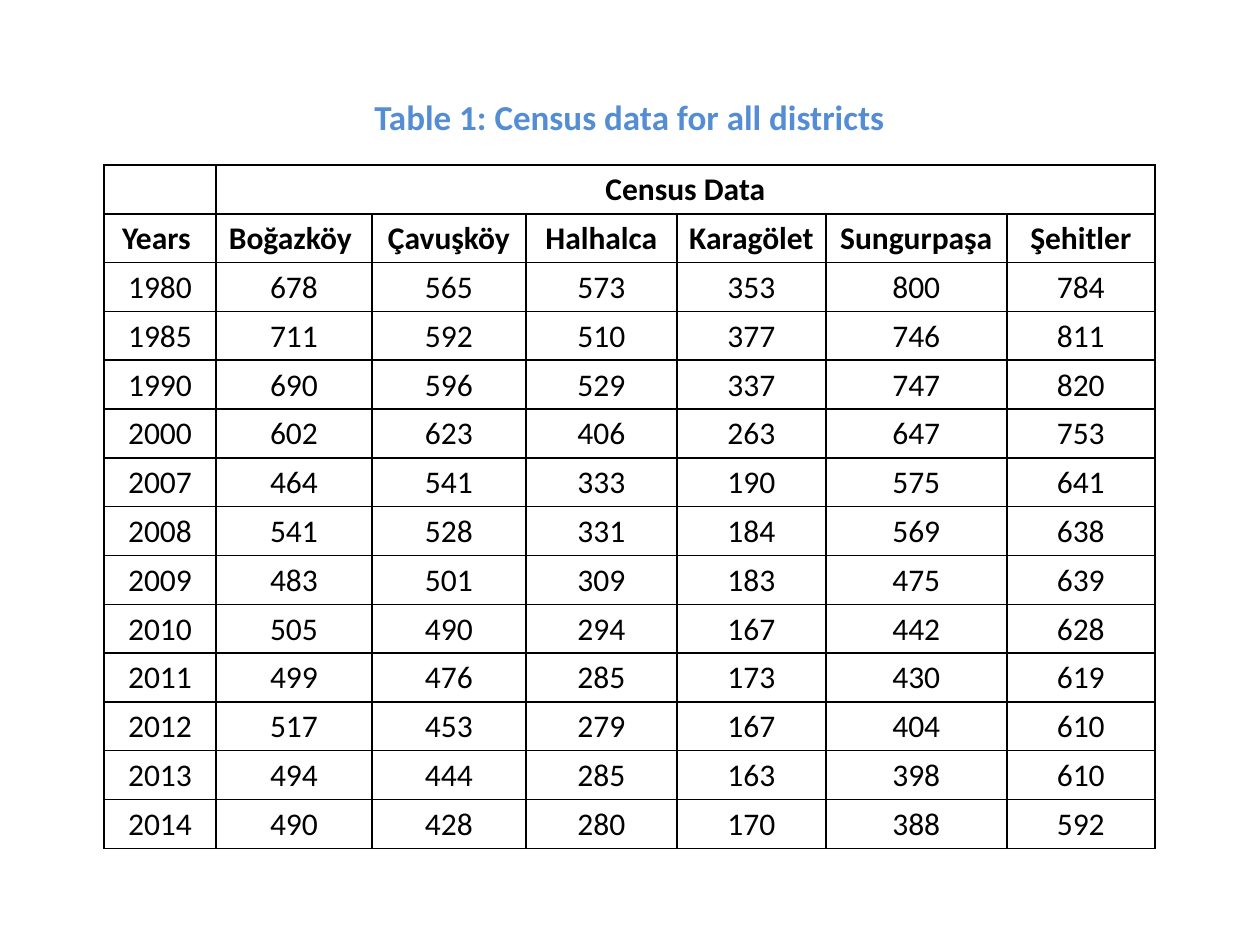
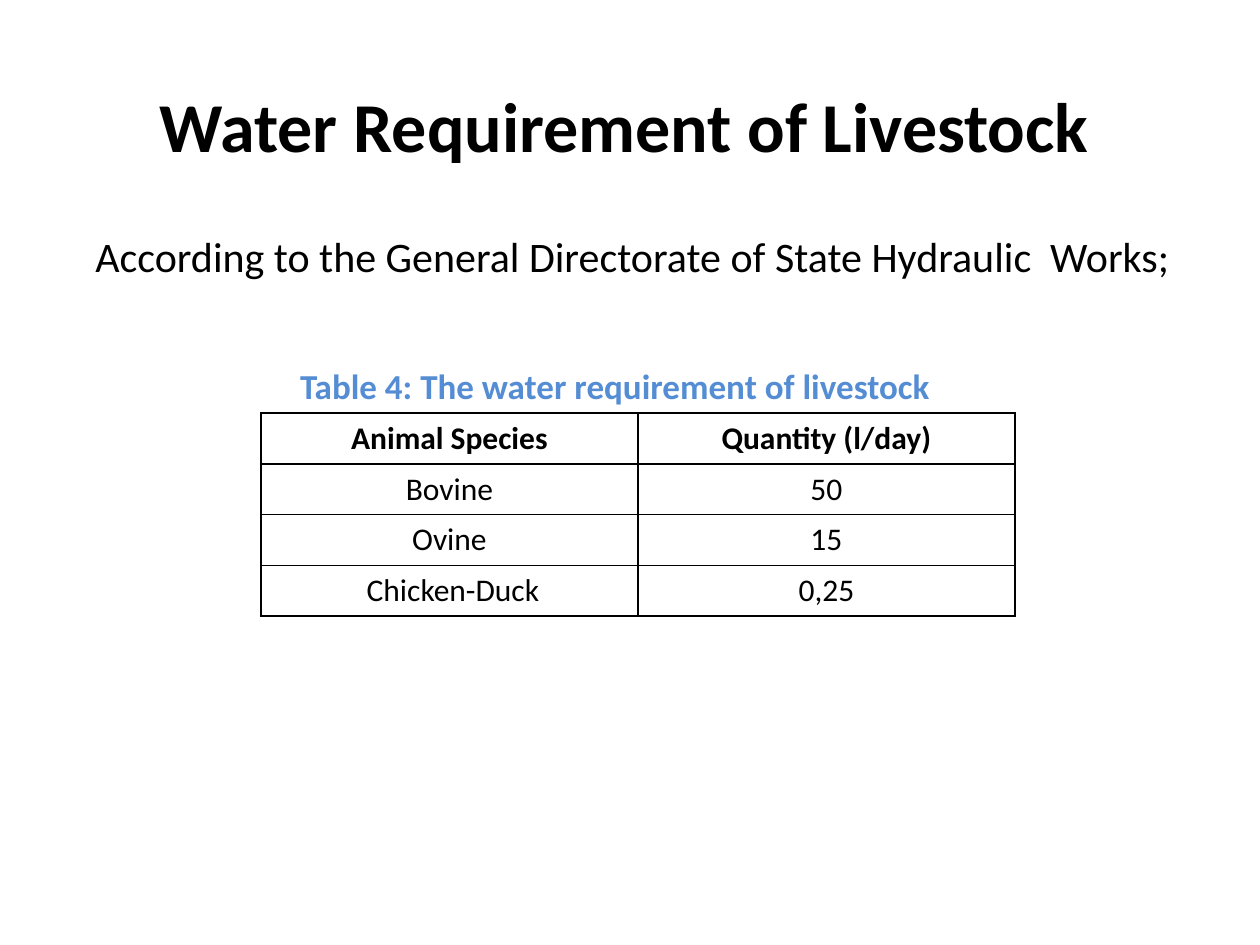
from lxml import etree
from pptx import Presentation
from pptx.dml.color import RGBColor
from pptx.enum.text import MSO_ANCHOR, MSO_AUTO_SIZE, PP_ALIGN
from pptx.oxml.ns import qn
from pptx.util import Pt

PX = 914400 / 126  # EMU per px
BLACK = RGBColor(0x00, 0x00, 0x00)
WHITE = RGBColor(0xFF, 0xFF, 0xFF)
CAPTION_BLUE = RGBColor(0x54, 0x8D, 0xD4)
FONT = "Calibri"
LEFT, CENTER = PP_ALIGN.LEFT, PP_ALIGN.CENTER
TOP, MIDDLE = MSO_ANCHOR.TOP, MSO_ANCHOR.MIDDLE
GROW = MSO_AUTO_SIZE.SHAPE_TO_FIT_TEXT
TITLE_ONLY = 5
CELL_TEXT_SIZE = 18
BORDER_WIDTH = Pt(1)


def write_text(shape, box, text, size, color=BLACK, bold=True, align=CENTER, anchor=TOP, wrap=True):
    shape.left, shape.top, shape.width, shape.height = [round(length * PX) for length in box]
    frame = shape.text_frame
    frame.text = text
    frame.word_wrap = wrap
    frame.auto_size = GROW
    frame.vertical_anchor = anchor
    paragraph = frame.paragraphs[0]
    paragraph.alignment = align
    font = paragraph.font
    font.name, font.size, font.bold = FONT, Pt(size), bold
    font.color.rgb = color


def add_grid_table(slide, left, top, height, column_widths, rows, header_rows):
    box = [round(length * PX) for length in (left, top, sum(column_widths), height)]
    table = slide.shapes.add_table(len(rows), len(column_widths), *box).table
    table.first_row = table.horz_banding = False
    for column, width in zip(table.columns, column_widths):
        column.width = round(width * PX)
    for row_index, values in enumerate(rows):
        table.rows[row_index].height = round(height / len(rows) * PX)
        for column_index, value in enumerate(values):
            cell = table.cell(row_index, column_index)
            cell.text = value
            paragraph = cell.text_frame.paragraphs[0]
            paragraph.alignment = CENTER
            font = paragraph.font
            font.name, font.size = FONT, Pt(CELL_TEXT_SIZE)
            font.bold = row_index < header_rows
            font.color.rgb = BLACK
            # Black border on all four sides, then the fill
            properties = cell._tc.get_or_add_tcPr()
            for side in ("a:lnL", "a:lnR", "a:lnT", "a:lnB"):
                line = etree.SubElement(properties, qn(side), w=str(BORDER_WIDTH))
                fill = etree.SubElement(line, qn("a:solidFill"))
                etree.SubElement(fill, qn("a:srgbClr"), val=str(BLACK))
            cell.fill.solid()
            cell.fill.fore_color.rgb = WHITE
    return table


presentation = Presentation()
presentation.slide_width = round(1260 * PX)
presentation.slide_height = round(945 * PX)
layout = presentation.slide_layouts[TITLE_ONLY]

# Slide 1: census data
slide = presentation.slides.add_slide(layout)
write_text(slide.shapes.title, (360, 89, 539, 55), "Table 1: Census data for all districts",
           20, CAPTION_BLUE, anchor=MIDDLE, wrap=False)

census_rows = [
    ("", "Census Data", "", "", "", "", ""),
    ("Years ", "Boğazköy ", "Çavuşköy", "Halhalca", "Karagölet", "Sungurpaşa", "Şehitler"),
    ("1980", "678", "565", "573", "353", "800", "784"),
    ("1985", "711", "592", "510", "377", "746", "811"),
    ("1990", "690", "596", "529", "337", "747", "820"),
    ("2000", "602", "623", "406", "263", "647", "753"),
    ("2007", "464", "541", "333", "190", "575", "641"),
    ("2008", "541", "528", "331", "184", "569", "638"),
    ("2009", "483", "501", "309", "183", "475", "639"),
    ("2010", "505", "490", "294", "167", "442", "628"),
    ("2011", "499", "476", "285", "173", "430", "619"),
    ("2012", "517", "453", "279", "167", "404", "610"),
    ("2013", "494", "444", "285", "163", "398", "610"),
    ("2014", "490", "428", "280", "170", "388", "592"),
]
census_table = add_grid_table(slide, 104, 165, 684, (112, 156, 154, 151, 149, 181, 148),
                              census_rows, header_rows=2)
census_table.cell(0, 1).merge(census_table.cell(0, 6))
for cell in census_table.iter_cells():
    cell.margin_left = cell.margin_right = round(9 * PX)
    cell.margin_top = cell.margin_bottom = 0
    cell.text_frame.paragraphs[0].line_spacing = 1.15

# Slide 2: water requirement of livestock
slide = presentation.slides.add_slide(layout)
write_text(slide.shapes.title, (118, 76, 1012, 97), "Water Requirement of Livestock", 40)
write_text(slide.shapes.add_textbox(0, 0, 0, 0), (83, 224, 1121, 115),
           "According to the General Directorate of State Hydraulic  Works;",
           24, bold=False, align=LEFT)
write_text(slide.shapes.add_textbox(0, 0, 0, 0), (253, 358, 724, 55),
           "Table 4: The water requirement of livestock", 20, CAPTION_BLUE)

livestock_rows = [
    ("Animal Species", "Quantity (l/day)"),
    ("Bovine", "50"),
    ("Ovine", "15"),
    (" Chicken-Duck", "0,25"),
]
add_grid_table(slide, 261, 413, 203, (377, 377), livestock_rows, header_rows=1)

presentation.save("out.pptx")
